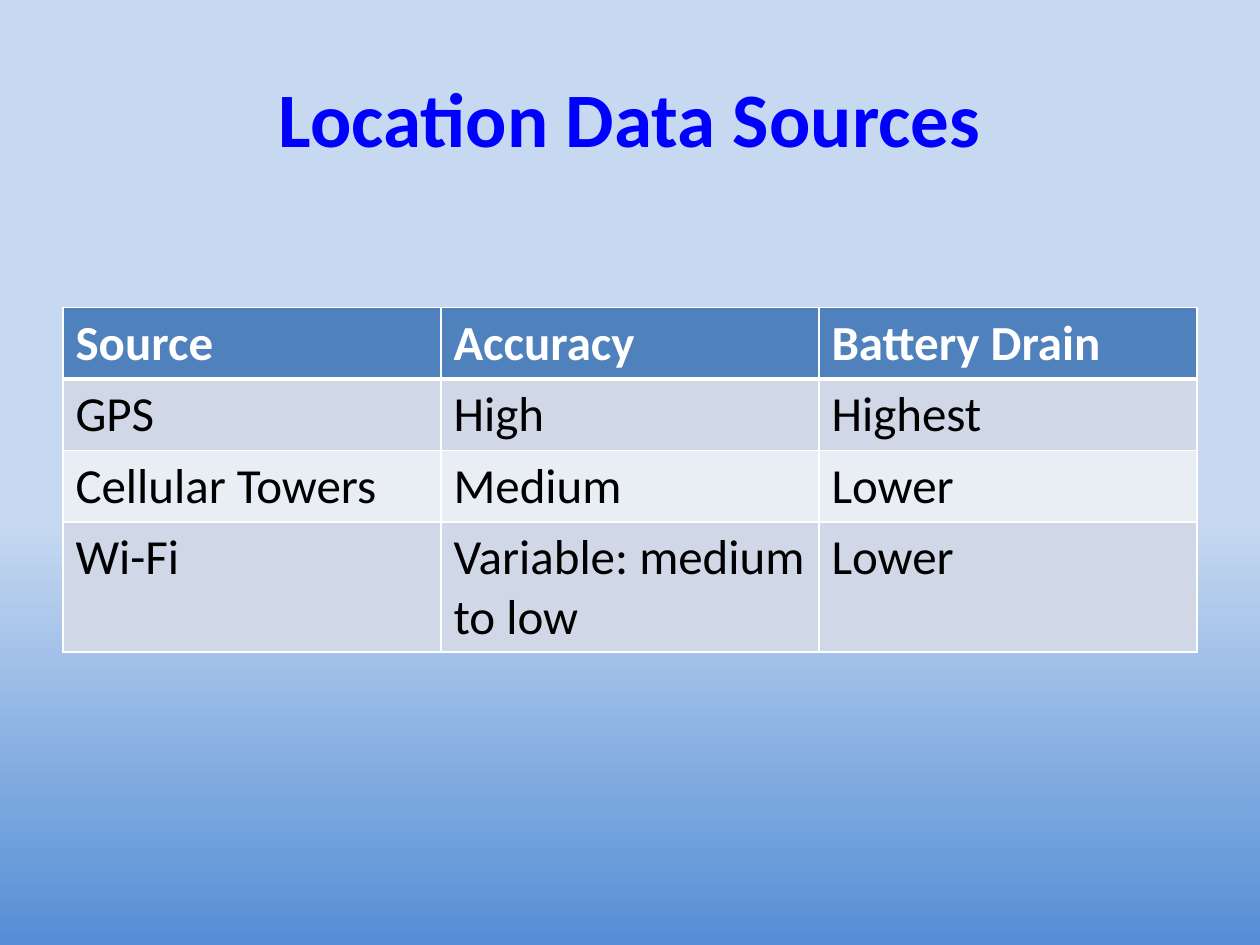
from lxml import etree
from pptx import Presentation
from pptx.dml.color import RGBColor
from pptx.enum.text import MSO_ANCHOR, PP_ALIGN
from pptx.oxml.ns import qn
from pptx.util import Inches, Pt

LEFT = PP_ALIGN.LEFT
CENTER = PP_ALIGN.CENTER
MIDDLE = MSO_ANCHOR.MIDDLE

WHITE = RGBColor(0xFF, 0xFF, 0xFF)
BLACK = RGBColor(0x00, 0x00, 0x00)
TITLE_BLUE = RGBColor(0x00, 0x00, 0xFF)
HEADER_BLUE = RGBColor(0x4F, 0x81, 0xBD)
BAND_DARK = RGBColor(0xD0, 0xD8, 0xE8)
BAND_LIGHT = RGBColor(0xE9, 0xED, 0xF4)
SKY_LIGHT = RGBColor(0xC6, 0xD9, 0xF1)
SKY_DARK = RGBColor(0x55, 0x8E, 0xD5)

LOCATION_SOURCES = [
    ("Source", "Accuracy", "Battery Drain"),
    ("GPS", "High", "Highest"),
    ("Cellular Towers", "Medium", "Lower"),
    ("Wi-Fi", "Variable: medium to low", "Lower"),
]


def write_text(text_frame, text, font="Calibri", size=28, color=BLACK, bold=False, align=LEFT):
    paragraph = text_frame.paragraphs[0]
    paragraph.alignment = align
    run = paragraph.add_run()
    run.text = text
    run.font.name = font
    run.font.size = Pt(size)
    run.font.bold = bold
    run.font.color.rgb = color


def set_borders(cell, color, **widths):
    properties = cell._tc.get_or_add_tcPr()
    for side, width in widths.items():
        line = etree.SubElement(properties, qn(f"a:ln{side}"), w=str(Pt(width)))
        fill = etree.SubElement(line, qn("a:solidFill"))
        etree.SubElement(fill, qn("a:srgbClr"), val=str(color))


class SlideBuilder:
    """Holds the slide style and adds its elements."""

    def __init__(self, slide, font="Calibri"):
        self.slide = slide
        self.font = font

    def background(self, *stops):
        fill = self.slide.background.fill
        fill.gradient()
        fill.gradient_angle = 270
        for stop, (position, color) in zip(fill.gradient_stops, stops):
            stop.position = position
            stop.color.rgb = color

    def title(self, text, left, top, width, height):
        shape = self.slide.shapes.add_textbox(Inches(left), Inches(top), Inches(width), Inches(height))
        shape.text_frame.word_wrap = True
        shape.text_frame.vertical_anchor = MIDDLE
        write_text(shape.text_frame, text, font=self.font, size=44, color=TITLE_BLUE, bold=True, align=CENTER)

    def table(self, rows, left, top, width, row_height):
        shape = self.slide.shapes.add_table(
            len(rows), len(rows[0]), Inches(left), Inches(top), Inches(width), Inches(row_height * len(rows))
        )
        for row_index, row in enumerate(rows):
            header = row_index == 0
            band = BAND_DARK if row_index % 2 else BAND_LIGHT
            for column_index, text in enumerate(row):
                cell = shape.table.cell(row_index, column_index)
                set_borders(cell, WHITE, L=1, R=1, T=3 if row_index == 1 else 1, B=3 if header else 1)
                cell.fill.solid()
                cell.fill.fore_color.rgb = HEADER_BLUE if header else band
                write_text(cell.text_frame, text, font=self.font, color=WHITE if header else BLACK, bold=header)


def main():
    presentation = Presentation()
    presentation.slide_width = Inches(10)
    presentation.slide_height = Inches(7.5)
    builder = SlideBuilder(presentation.slides.add_slide(presentation.slide_layouts[6]))
    builder.background((0.55, SKY_LIGHT), (1, SKY_DARK))
    builder.title("Location Data Sources", 0.5, 0.3, 9, 1.25)
    builder.table(LOCATION_SOURCES, 0.5, 2.44, 9, 0.41)
    presentation.save("out.pptx")


if __name__ == "__main__":
    main()
